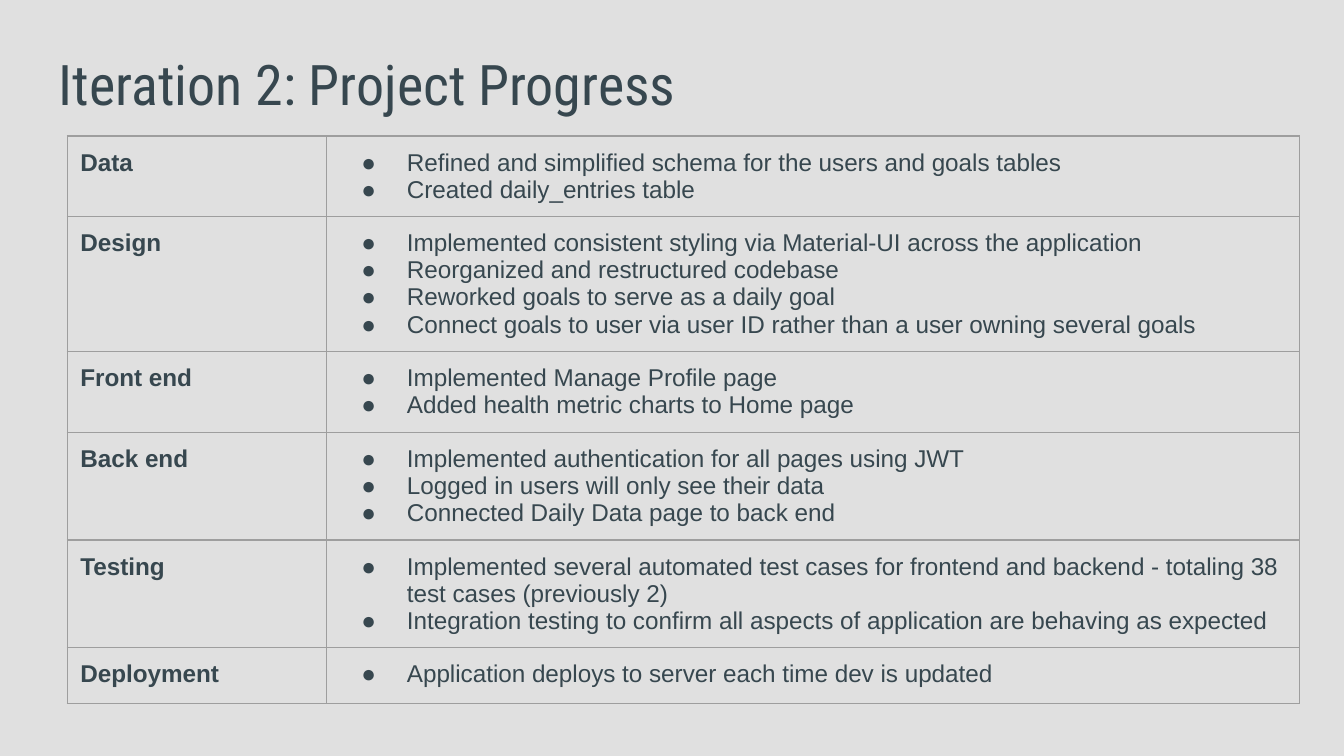
from lxml.etree import SubElement
from pptx import Presentation
from pptx.dml.color import RGBColor
from pptx.enum.text import MSO_ANCHOR, MSO_AUTO_SIZE, PP_ALIGN
from pptx.oxml.ns import qn
from pptx.util import Cm, Pt

# Content
TITLE = "Iteration 2: Project Progress"
PROGRESS = [
    ("Data", [
        "Refined and simplified schema for the users and goals tables",
        "Created daily_entries table",
    ]),
    ("Design", [
        "Implemented consistent styling via Material-UI across the application",
        "Reorganized and restructured codebase",
        "Reworked goals to serve as a daily goal",
        "Connect goals to user via user ID rather than a user owning several goals",
    ]),
    ("Front end", [
        "Implemented Manage Profile page",
        "Added health metric charts to Home page",
    ]),
    ("Back end", [
        "Implemented authentication for all pages using JWT",
        "Logged in users will only see their data",
        "Connected Daily Data page to back end",
    ]),
    ("Testing", [
        "Implemented several automated test cases for frontend and backend"
        " - totaling 38 test cases (previously 2)",
        "Integration testing to confirm all aspects of application are behaving as expected",
    ]),
    ("Deployment", ["Application deploys to server each time dev is updated"]),
]

COLORS = {"background": "E0E0E0", "text": "37474F", "border": "9E9E9E"}
COLUMN_WIDTHS = [Cm(4.9), Cm(18.39)]
LINE_HEIGHT = Cm(0.51)
MIN_ROW_HEIGHT = Cm(1.06)
MARGIN = Cm(0.25)
LINE_CHARACTERS = 85


def format_runs(paragraph, font_name, size, bold=False):
    for run in paragraph.runs:
        run.font.name = font_name
        run.font.size = Pt(size)
        run.font.bold = bold
        run.font.color.rgb = RGBColor.from_string(COLORS["text"])


def add_bullet(paragraph):
    properties = paragraph._p.get_or_add_pPr()
    properties.set("marL", str(Cm(1.27)))
    properties.set("indent", str(-Cm(0.86)))
    color = SubElement(properties, qn("a:buClr"))
    SubElement(color, qn("a:srgbClr"), val=COLORS["text"])
    SubElement(properties, qn("a:buFont"), typeface="Arial")
    SubElement(properties, qn("a:buChar"), char="●")


def style_cell(cell):
    cell.margin_left = cell.margin_right = MARGIN
    cell.margin_top = cell.margin_bottom = MARGIN
    cell.vertical_anchor = MSO_ANCHOR.TOP
    properties = cell._tc.get_or_add_tcPr()
    for side in ("a:lnL", "a:lnR", "a:lnT", "a:lnB"):
        line = SubElement(properties, qn(side), w=str(Pt(0.75)))
        fill = SubElement(line, qn("a:solidFill"))
        SubElement(fill, qn("a:srgbClr"), val=COLORS["border"])
    cell.fill.background()


def fill_cell(cell, lines, bold=False, bullets=False):
    cell.text_frame.text = "\n".join(lines)
    for paragraph in cell.text_frame.paragraphs:
        format_runs(paragraph, "Arial", 13, bold)
        if bullets:
            add_bullet(paragraph)
    style_cell(cell)


def row_height(items):
    lines = sum(1 + len(item) // LINE_CHARACTERS for item in items)
    return max(MIN_ROW_HEIGHT, lines * LINE_HEIGHT + 2 * MARGIN)


presentation = Presentation()
presentation.slide_width = Cm(25.4)
presentation.slide_height = Cm(14.29)
slide = presentation.slides.add_slide(presentation.slide_layouts[5])
slide.background.fill.solid()
slide.background.fill.fore_color.rgb = RGBColor.from_string(COLORS["background"])

# Title
title = slide.shapes.title
title.left, title.top, title.width, title.height = Cm(0.86), Cm(0.69), Cm(23.67), Cm(1.6)
frame = title.text_frame
frame.text = TITLE
frame.auto_size = MSO_AUTO_SIZE.NONE
frame.vertical_anchor = MSO_ANCHOR.TOP
frame.margin_left = frame.margin_right = frame.margin_top = frame.margin_bottom = MARGIN
frame.paragraphs[0].alignment = PP_ALIGN.LEFT
format_runs(frame.paragraphs[0], "Roboto Condensed", 30)

# Progress table
heights = [row_height(items) for _, items in PROGRESS]
table = slide.shapes.add_table(
    len(PROGRESS), 2, Cm(1.27), Cm(2.57), sum(COLUMN_WIDTHS), sum(heights)
).table
table.first_row = table.horz_banding = False
for column, width in zip(table.columns, COLUMN_WIDTHS):
    column.width = width
for index, (area, items) in enumerate(PROGRESS):
    table.rows[index].height = heights[index]
    fill_cell(table.cell(index, 0), [area], bold=True)
    fill_cell(table.cell(index, 1), items, bullets=True)

presentation.save("out.pptx")
